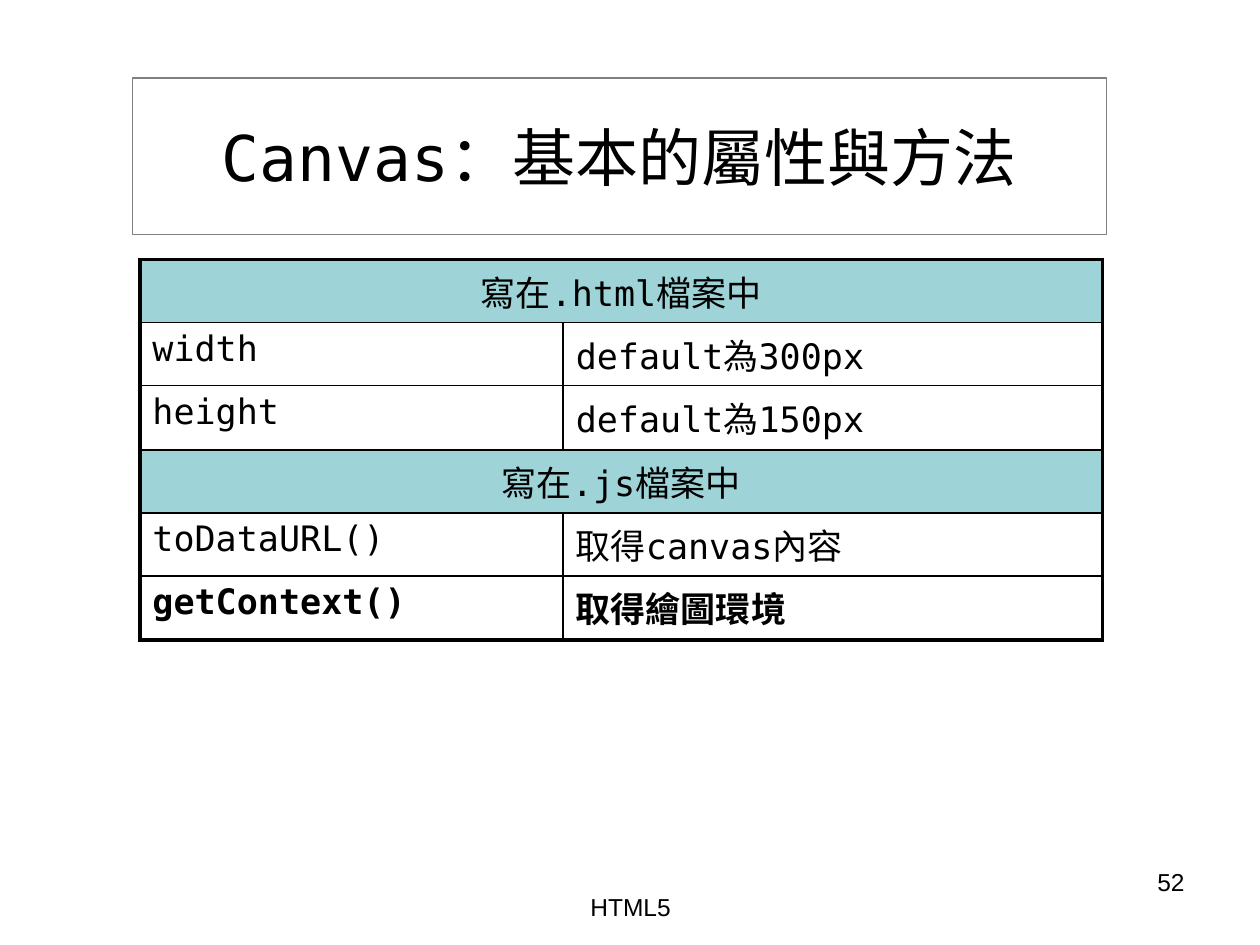
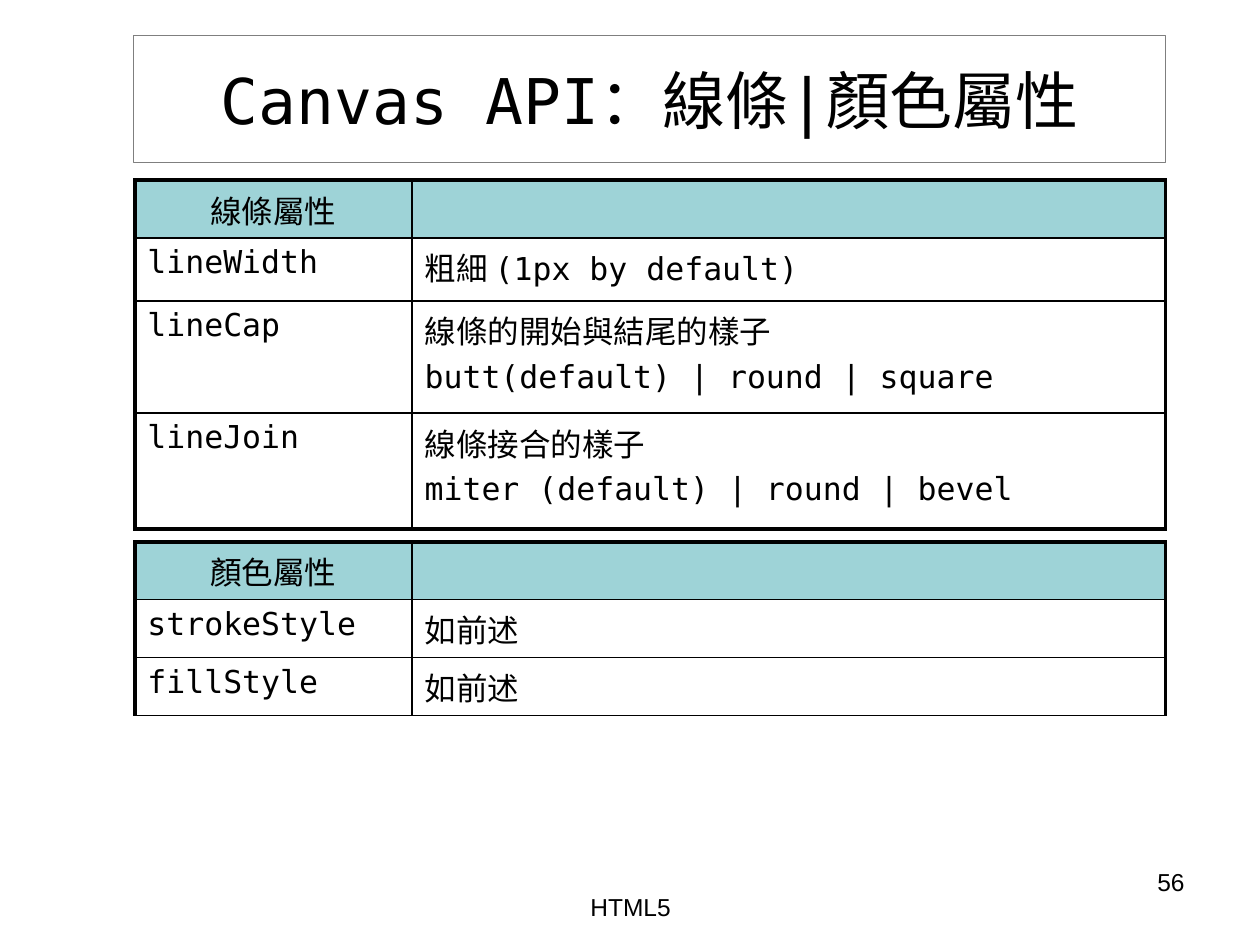
from dataclasses import dataclass

from lxml import etree
from pptx import Presentation
from pptx.dml.color import RGBColor
from pptx.enum import text
from pptx.oxml import ns
from pptx.util import Inches, Pt


@dataclass(frozen=True)
class Theme:
    ink: RGBColor = RGBColor(0, 0, 0)
    frame: RGBColor = RGBColor(0x7F, 0x7F, 0x7F)
    band: RGBColor = RGBColor(0x9E, 0xD3, 0xD7)
    code_font: str = "DejaVu Sans Mono"
    footer_font: str = "Arial"
    title_size: float = 36
    footer_size: float = 14
    line_gap: float = 3.6
    thick: float = 2.25
    thin: float = 1
    frame_width: float = 0.75


class Deck:
    def __init__(self, theme):
        self.theme = theme
        self.prs = Presentation()
        self.prs.slide_width = Inches(10)
        self.prs.slide_height = Inches(7.5)
        self.s = None

    def slide(self, title, box, number):
        self.s = self.prs.slides.add_slide(self.prs.slide_layouts[5])
        self.title(title, box)
        self.label(str(number), (7.17, 6.83, 2.33, 0.52), text.PP_ALIGN.RIGHT)
        self.label("HTML5", (3.42, 7.03, 3.17, 0.5), text.PP_ALIGN.CENTER)

    def style(self, p, size, font, align, bold=False):
        p.alignment = align
        p.font.size = Pt(size)
        p.font.name = font
        p.font.bold = bold
        p.font.color.rgb = self.theme.ink

    def title(self, words, box):
        sp = self.s.shapes.title
        sp.left, sp.top, sp.width, sp.height = map(Inches, box)
        sp.line.color.rgb = self.theme.frame
        sp.line.width = Pt(self.theme.frame_width)
        tf = sp.text_frame
        tf.text = words
        tf.auto_size = text.MSO_AUTO_SIZE.NONE
        tf.vertical_anchor = text.MSO_ANCHOR.MIDDLE
        self.style(tf.paragraphs[0], self.theme.title_size,
                   self.theme.code_font, text.PP_ALIGN.CENTER)

    def label(self, words, box, align):
        tf = self.s.shapes.add_textbox(*map(Inches, box)).text_frame
        tf.word_wrap = True
        tf.text = words
        self.style(tf.paragraphs[0], self.theme.footer_size,
                   self.theme.footer_font, align)

    def borders(self, cell, thick_sides):
        tc_pr = cell._tc.get_or_add_tcPr()
        for i, side in enumerate("LRTB"):
            width = self.theme.thick if side in thick_sides else self.theme.thin
            ln = etree.Element(ns.qn(f"a:ln{side}"), w=str(Pt(width)))
            fill = etree.SubElement(ln, ns.qn("a:solidFill"))
            etree.SubElement(fill, ns.qn("a:srgbClr"), val=str(self.theme.ink))
            tc_pr.insert(i, ln)

    def cell(self, cell, words, size, header, bold, thick_sides):
        if header:
            cell.fill.solid()
            cell.fill.fore_color.rgb = self.theme.band
        else:
            cell.fill.background()
        cell.text = words
        align = text.PP_ALIGN.CENTER if header else text.PP_ALIGN.LEFT
        for i, p in enumerate(cell.text_frame.paragraphs):
            self.style(p, size, self.theme.code_font, align, bold)
            if i:
                p.space_before = Pt(self.theme.line_gap)
        self.borders(cell, thick_sides)

    def table(self, left, top, widths, heights, rows, size,
              headers=(0,), merged=False, bold_rows=(), thick_bottom=True):
        frame = self.s.shapes.add_table(
            len(rows), len(widths), Inches(left), Inches(top),
            Inches(sum(widths)), Inches(sum(heights)))
        tbl = frame.table
        tbl.first_row = tbl.horz_banding = False
        for column, width in zip(tbl.columns, widths):
            column.width = Inches(width)
        last = len(rows) - 1
        for i, (row, height) in enumerate(zip(rows, heights)):
            tbl.rows[i].height = Inches(height)
            header = i in headers
            span = header and merged
            if span:
                tbl.cell(i, 0).merge(tbl.cell(i, 1))
            edges = "T" if i == 0 else ""
            if i == last and thick_bottom:
                edges += "B"
            for j, words in enumerate(row):
                sides = "LR" if span else "LR"[j]
                self.cell(tbl.cell(i, j), words, size, header,
                          i in bold_rows, edges + sides)


def main():
    deck = Deck(Theme())

    deck.slide("Canvas：基本的屬性與方法", (1.05, 0.62, 7.73, 1.24), 52)
    members = [
        ("寫在.html檔案中", ""),
        ("width", "default為300px"),
        ("height", "default為150px"),
        ("寫在.js檔案中", ""),
        ("toDataURL()", "取得canvas內容"),
        ("getContext()", "取得繪圖環境"),
    ]
    deck.table(1.11, 2.06, (3.36, 4.28), (0.5, 0.5, 0.51) * 2, members, 20,
               headers=(0, 3), merged=True, bold_rows=(5,))

    deck.slide("Canvas API：線條|顏色屬性", (1.06, 0.28, 8.19, 1.01), 56)
    left, widths, row_height = 1.07, (2.2, 5.98), 0.46
    line_rows = [
        ("線條屬性", ""),
        ("lineWidth", "粗細 (1px by default)"),
        ("lineCap", "線條的開始與結尾的樣子\nbutt(default) | round | square"),
        ("lineJoin", "線條接合的樣子\nmiter (default) | round | bevel"),
    ]
    deck.table(left, 1.43, widths, (row_height, 0.5, 0.89, 0.92), line_rows, 18)
    color_rows = [
        ("顏色屬性", ""),
        ("strokeStyle", "如前述"),
        ("fillStyle", "如前述"),
    ]
    deck.table(left, 4.3, widths, [row_height] * len(color_rows), color_rows,
               18, thick_bottom=False)

    deck.prs.save("out.pptx")


if __name__ == "__main__":
    main()
